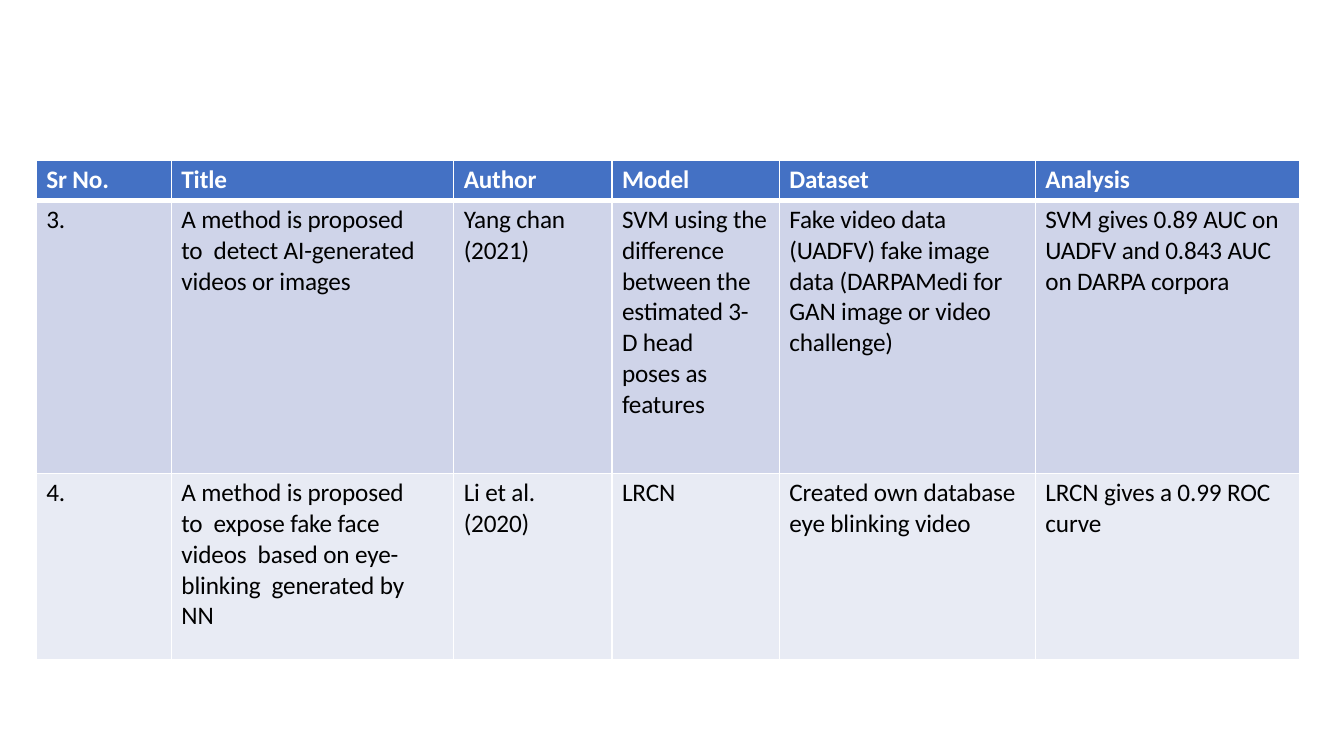
from pptx import Presentation
from pptx.dml.color import RGBColor as RGB
from pptx.oxml import parse_xml
from pptx.oxml.ns import nsdecls
from pptx.util import Inches, Pt

ROWS = [
    ["Sr No.", "Title", "Author", "Model", "Dataset", "Analysis"],
    ["3.",
     "A method is proposed to  detect AI-generated  videos or images",
     "Yang chan  (2021)",
     "SVM using the  difference  between the  estimated 3-\nD head  poses as  features",
     "Fake video data  (UADFV) fake image  data (DARPAMedi for  GAN image or video  challenge)",
     "SVM gives 0.89 AUC on  UADFV and 0.843 AUC\non DARPA corpora"],
    ["4.",
     "A method is proposed to  expose fake face videos  based on eye-blinking  generated by NN",
     "Li et al.  (2020)",
     "LRCN",
     "Created own database  eye blinking video",
     "LRCN gives a 0.99 ROC  curve"],
]
WIDTHS = [1.34, 2.8, 1.57, 1.66, 2.54, 2.62]
HEIGHTS = [0.4, 2.71, 1.84]
FILLS = ["4471C4", "CFD4E9", "E8EBF4"]
INKS = ["FFFFFF", "000000", "000000"]
RULES = [(1, 4.25), (4.25, 1), (1, 1)]
RIGHT = {(1, 1, 0): 0.3, (2, 1, 0): 0.3, (1, 2, 0): 0.2, (2, 2, 0): 0.2,
         (1, 3, 1): 0.5, (1, 4, 0): 0.2}


def color(code):
    return RGB.from_string(code)


def border(cell, top, base):
    sides = [("L", 1), ("R", 1), ("T", top), ("B", base)]
    for spot, (side, size) in enumerate(sides):
        line = parse_xml(
            f'<a:ln{side} {nsdecls("a")} w="{Pt(size)}"><a:solidFill>'
            f'<a:srgbClr val="FFFFFF"/></a:solidFill></a:ln{side}>')
        cell._tc.get_or_add_tcPr().insert(spot, line)


def write(cell, row, col):
    cell.text_frame.text = ROWS[row][col]
    for num, para in enumerate(cell.text_frame.paragraphs):
        para.space_before = Pt(0 if num else 2.6)
        props = para._p.get_or_add_pPr()
        props.set("marL", str(Inches(0.1)))
        props.set("marR", str(Inches(RIGHT.get((row, col, num), 0))))
        for run in para.runs:
            font = run.font
            font.name, font.size, font.bold = "Calibri", Pt(18), row == 0
            font.color.rgb = color(INKS[row])
            run._r.get_or_add_rPr().set("spc", "-10")


def main():
    """Build the slide with the table of reviewed papers."""
    deck = Presentation()
    deck.slide_width, deck.slide_height = Inches(13.33), Inches(7.5)
    slide = deck.slides.add_slide(deck.slide_layouts[6])
    table = slide.shapes.add_table(
        len(ROWS), len(WIDTHS), Inches(0.36), Inches(1.59),
        Inches(sum(WIDTHS)), Inches(sum(HEIGHTS))).table
    for col, width in enumerate(WIDTHS):
        table.columns[col].width = Inches(width)
    for row, height in enumerate(HEIGHTS):
        table.rows[row].height = Inches(height)
        for col in range(len(WIDTHS)):
            cell = table.cell(row, col)
            cell.margin_left = cell.margin_right = cell.margin_bottom = 0
            cell.margin_top = Inches(0.04)
            cell.fill.solid()
            cell.fill.fore_color.rgb = color(FILLS[row])
            border(cell, *RULES[row])
            write(cell, row, col)
    deck.save("out.pptx")


if __name__ == "__main__":
    main()
